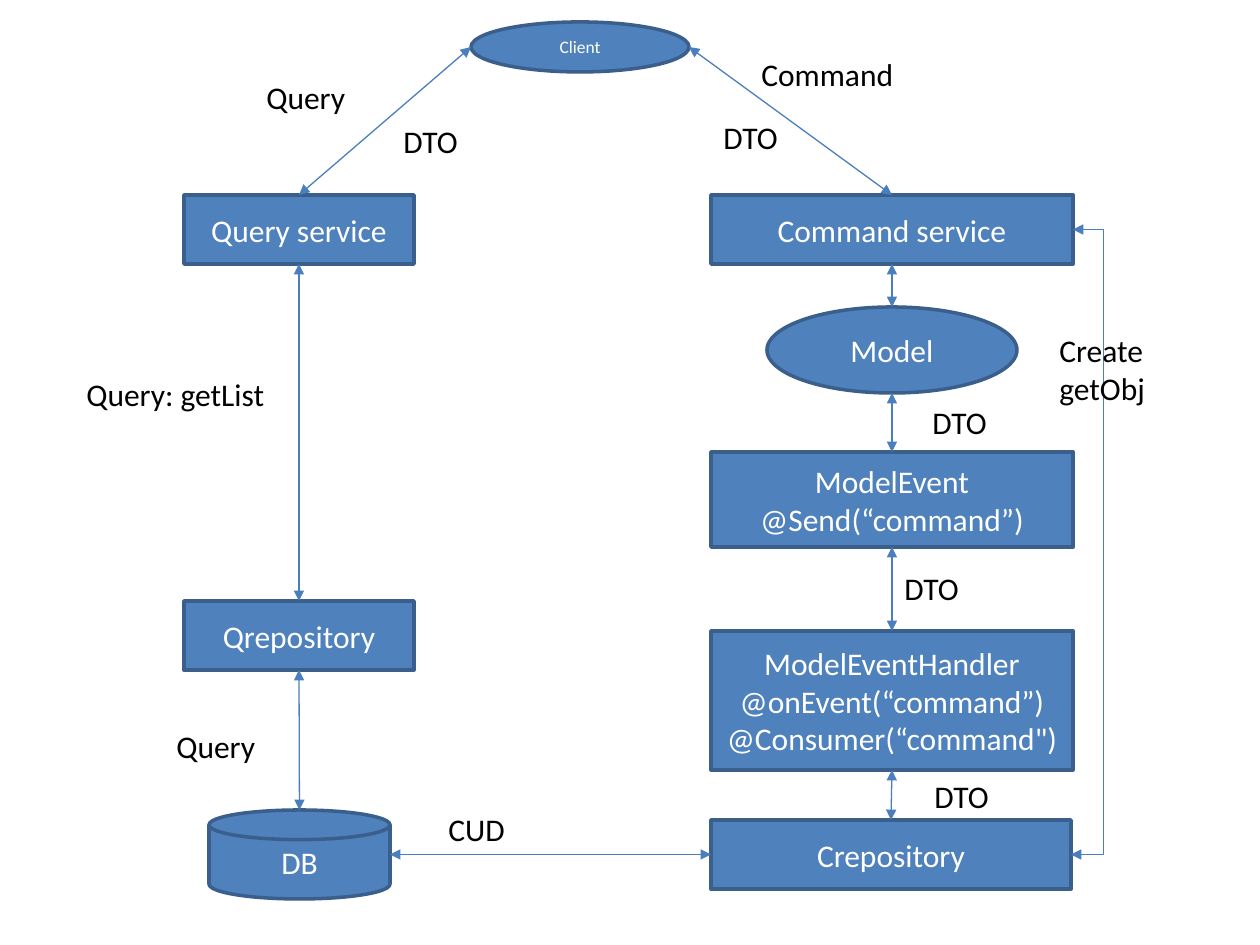
"""Build a slide showing how queries and commands flow from a client to a database."""
from lxml.etree import SubElement
from pptx import Presentation
from pptx.dml.color import RGBColor
from pptx.enum.shapes import MSO_CONNECTOR, MSO_SHAPE
from pptx.enum.text import MSO_ANCHOR, PP_ALIGN
from pptx.oxml.ns import qn
from pptx.util import Pt

EMU_PER_PX = 914400 / 126
FILL = RGBColor(0x4F, 0x81, 0xBD)
OUTLINE = RGBColor(0x3A, 0x5F, 0x8C)
ARROW = RGBColor(0x4B, 0x7E, 0xBC)
WHITE = RGBColor(0xFF, 0xFF, 0xFF)
BLACK = RGBColor(0x00, 0x00, 0x00)
FONT = {"name": "Calibri", "size": Pt(18)}

NODES = {
    "client": (MSO_SHAPE.OVAL, (471, 22, 218, 50), "Client"),
    "query service": (MSO_SHAPE.RECTANGLE, (184, 195, 230, 69), "Query service"),
    "query repository": (MSO_SHAPE.RECTANGLE, (184, 601, 230, 69), "Qrepository"),
    "database": (MSO_SHAPE.FLOWCHART_MAGNETIC_DISK, (209, 810, 181, 89), "DB"),
    "command service": (MSO_SHAPE.RECTANGLE, (711, 195, 362, 69), "Command service"),
    "model": (MSO_SHAPE.OVAL, (767, 307, 250, 86), "Model"),
    "event": (MSO_SHAPE.RECTANGLE, (711, 452, 362, 95), "ModelEvent\n@Send(“command”)"),
    "handler": (MSO_SHAPE.RECTANGLE, (711, 631, 362, 139),
                "ModelEventHandler\v@onEvent(“command”)\n@Consumer(“command\")"),
    "command repository": (MSO_SHAPE.RECTANGLE, (711, 820, 360, 69), "Crepository"),
}
NODE_SIZES = {"client": Pt(10)}
LINKS = [
    ("client", "left", "query service", "top"),
    ("client", "right", "command service", "top"),
    ("query service", "bottom", "query repository", "top"),
    ("query repository", "bottom", "database", "top"),
    ("command service", "bottom", "model", "top"),
    ("model", "bottom", "event", "top"),
    ("event", "bottom", "handler", "top"),
    ("handler", "bottom", "command repository", "top"),
    ("command repository", "left", "database", "right"),
]
LABELS = [
    ("Query", (254, 72, 214, 50)),
    ("DTO", (391, 116, 101, 50)),
    ("Query: getList", (74, 369, 233, 50)),
    ("Query", (164, 721, 146, 50)),
    ("CUD", (436, 804, 275, 50)),
    ("Command", (749, 49, 190, 50)),
    ("DTO", (711, 112, 95, 50)),
    ("Create\ngetObj", (1047, 325, 233, 89)),
    ("DTO", (920, 397, 101, 50)),
    ("DTO", (892, 563, 101, 50)),
    ("DTO", (922, 771, 101, 50)),
]
RETURN_LANE = 1104
RIGHT_SITE = 3


def px(*lengths):
    return [round(length * EMU_PER_PX) for length in lengths]


def write(box, text, color, align, anchor, size=FONT["size"]):
    frame = box.text_frame
    frame.word_wrap = True
    frame.vertical_anchor = anchor
    frame.text = text
    for para in frame.paragraphs:
        para.alignment = align
        for span in para.runs:
            for key, value in {**FONT, "size": size}.items():
                setattr(span.font, key, value)
            span.font.color.rgb = color


def add_node(page, name):
    kind, place, text = NODES[name]
    node = page.shapes.add_shape(kind, *px(*place))
    node.shadow.inherit = False
    node.fill.solid()
    node.fill.fore_color.rgb = FILL
    node.line.color.rgb = OUTLINE
    node.line.width = Pt(2)
    write(node, text, WHITE, PP_ALIGN.CENTER, MSO_ANCHOR.MIDDLE,
          NODE_SIZES.get(name, FONT["size"]))
    return node


def side(name, edge):
    left, top, width, height = NODES[name][1]
    across, down = {"left": (0, 0.5), "right": (1, 0.5),
                    "top": (0.5, 0), "bottom": (0.5, 1)}[edge]
    return left + across * width, top + down * height


def add_arrow(page, kind, start, end):
    arrow = page.shapes.add_connector(kind, *px(*start, *end))
    arrow.line.color.rgb = ARROW
    arrow.line.width = Pt(0.75)
    outline = arrow.line._get_or_add_ln()
    for tag in ("a:headEnd", "a:tailEnd"):
        SubElement(outline, qn(tag), type="triangle")
    SubElement(arrow._element.spPr, qn("a:effectLst"))
    return arrow


def add_return_arrow(page, nodes, first, last):
    start, end = side(first, "right"), side(last, "right")
    arrow = add_arrow(page, MSO_CONNECTOR.ELBOW, start, end)
    arrow.begin_connect(nodes[first], RIGHT_SITE)
    arrow.end_connect(nodes[last], RIGHT_SITE)
    bend = round((RETURN_LANE - start[0]) / (end[0] - start[0]) * 100000)
    guides = arrow._element.spPr.find(qn("a:prstGeom")).get_or_add_avLst()
    SubElement(guides, qn("a:gd"), name="adj1", fmla=f"val {bend}")


def main():
    deck = Presentation()
    deck.slide_width, deck.slide_height = px(1260, 945)
    page = deck.slides.add_slide(deck.slide_layouts[6])
    nodes = {name: add_node(page, name) for name in NODES}
    for first, first_edge, last, last_edge in LINKS:
        add_arrow(page, MSO_CONNECTOR.STRAIGHT, side(first, first_edge), side(last, last_edge))
    add_return_arrow(page, nodes, "command service", "command repository")
    for text, place in LABELS:
        label = page.shapes.add_textbox(*px(*place))
        write(label, text, BLACK, PP_ALIGN.LEFT, MSO_ANCHOR.TOP)
    deck.save("out.pptx")


if __name__ == "__main__":
    main()
